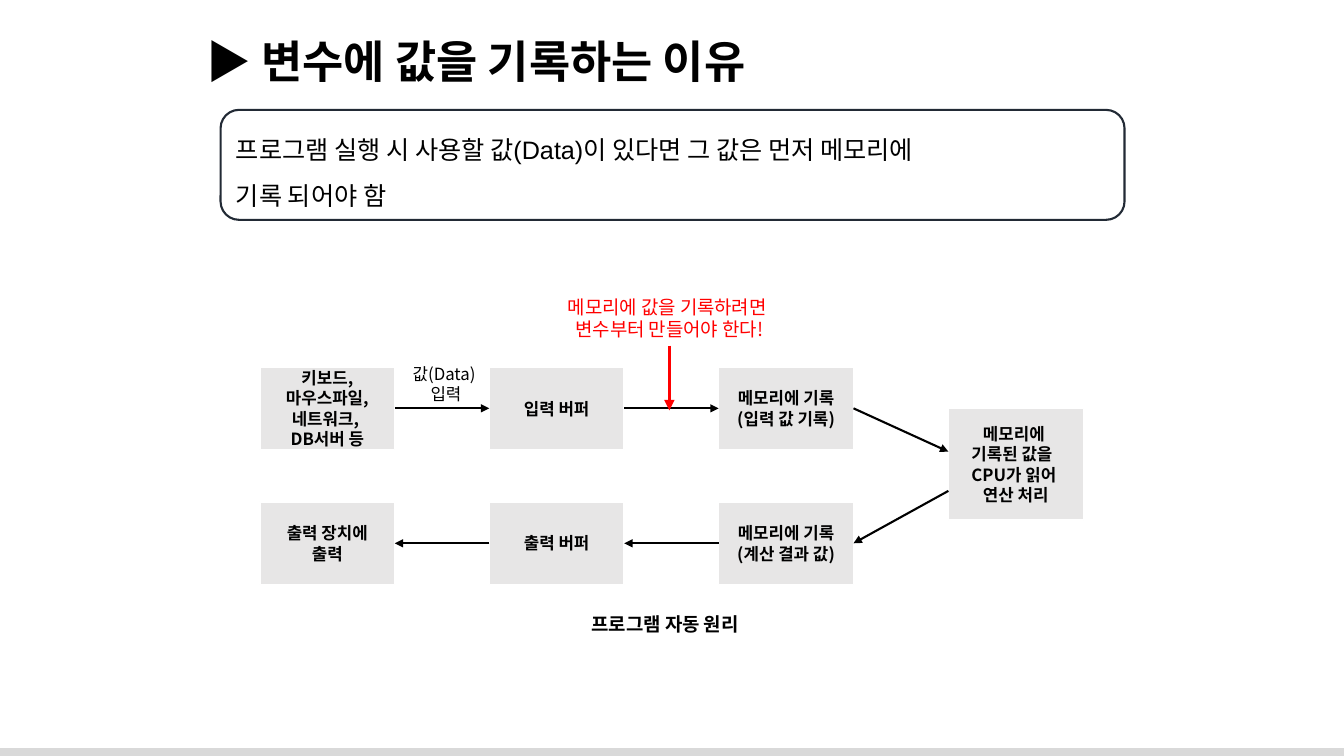
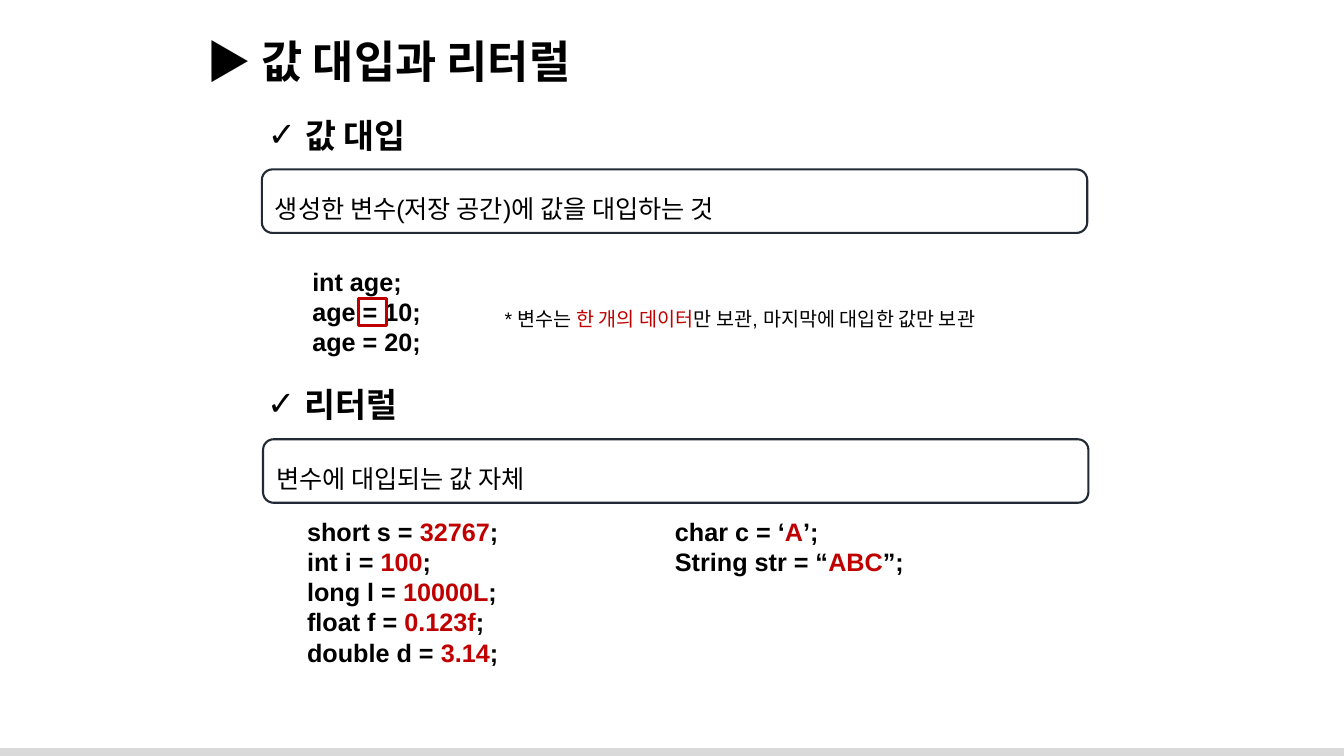
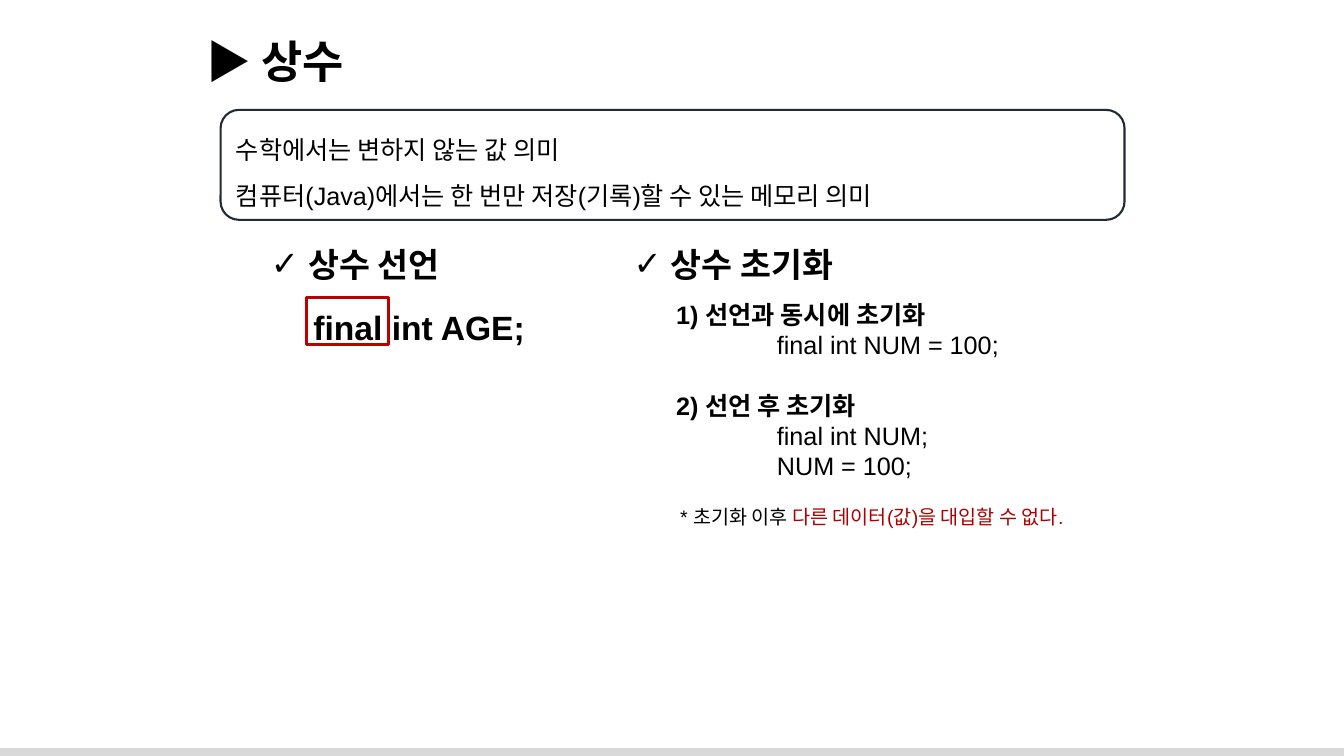
from dataclasses import dataclass
from typing import NamedTuple

from lxml.etree import SubElement
from pptx import Presentation
from pptx.dml.color import RGBColor
from pptx.enum.shapes import MSO_CONNECTOR, MSO_SHAPE
from pptx.enum.text import MSO_ANCHOR, MSO_AUTO_SIZE, PP_ALIGN
from pptx.oxml.ns import qn
from pptx.util import Cm, Pt

COLORS = {
    "text": "000000", "white": "FFFFFF", "band": "D9D9D9", "node": "E7E6E6",
    "frame": "222A35", "accent": "C00000", "alert": "FF0000", "warning": "AD0000",
}
BODY_FONT = "Arial"
KOREAN_FONT = "Noto Sans CJK KR"


class Box(NamedTuple):
    """Left, top, width and height in centimetres."""
    left: float
    top: float
    width: float
    height: float

    def lengths(self) -> list:
        return [Cm(v) for v in self]


class Run(NamedTuple):
    text: str
    color: str = "text"


@dataclass
class Para:
    runs: list
    bold: bool = False
    indent: float = 0
    before: float = 0


@dataclass
class Arrow:
    start: tuple
    end: tuple
    color: str = "text"
    width: float = 1.5


def rgb(name: str) -> RGBColor:
    return RGBColor.from_string(COLORS[name])


# Text
def write(tf, content, *, size=18, color="text", bold=False, font=BODY_FONT,
          align=PP_ALIGN.LEFT, spacing=None, bullet=None, tab=None):
    """Fill a text frame; content is a string with line breaks or a list of Para."""
    if isinstance(content, str):
        content = [Para([Run(line, color)], bold) for line in content.split("\n")]
    for i, para in enumerate(content):
        p = tf.paragraphs[0] if i == 0 else tf.add_paragraph()
        p.alignment = align
        if spacing:
            p.line_spacing = spacing
        if para.before:
            p.space_before = Pt(para.before)
        pPr = p._p.get_or_add_pPr()
        if para.indent:
            pPr.set("marL", str(Cm(para.indent)))
            pPr.set("indent", "0")
        if bullet:
            pPr.set("marL", str(Cm(0.94)))
            pPr.set("indent", str(-Cm(0.94)))
            SubElement(pPr, qn("a:buFont"), typeface=BODY_FONT)
            SubElement(pPr, qn("a:buChar"), char=bullet)
        if tab:
            tabs = SubElement(pPr, qn("a:tabLst"))
            SubElement(tabs, qn("a:tab"), pos=str(Cm(tab)), algn="l")
        for run in para.runs:
            r = p.add_run()
            r.text = run.text
            r.font.size, r.font.bold, r.font.name = Pt(size), para.bold, font
            r.font.color.rgb = rgb(run.color)
            SubElement(r._r.get_or_add_rPr(), qn("a:ea"), typeface=KOREAN_FONT)


def add_text(s, box: Box, content, *, wrap=True, inset=None, **fmt):
    tf = s.shapes.add_textbox(*box.lengths()).text_frame
    tf.word_wrap = wrap
    tf.auto_size = MSO_AUTO_SIZE.SHAPE_TO_FIT_TEXT
    if inset:
        tf.margin_left = Cm(inset)
    write(tf, content, **fmt)


# Shapes
def add_box(s, box: Box, *, kind=MSO_SHAPE.RECTANGLE, fill=None, line=None, width=1.0):
    sp = s.shapes.add_shape(kind, *box.lengths())
    sp.shadow.inherit = False
    if fill:
        sp.fill.solid()
        sp.fill.fore_color.rgb = rgb(fill)
    else:
        sp.fill.background()
    if line:
        sp.line.color.rgb = rgb(line)
        sp.line.width = Pt(width)
    else:
        sp.line.fill.background()
    sp.text_frame.word_wrap = True
    sp.text_frame.vertical_anchor = MSO_ANCHOR.MIDDLE
    return sp


def add_definition(s, box: Box, text: str):
    sp = add_box(s, box, kind=MSO_SHAPE.ROUNDED_RECTANGLE, line="frame", width=1.5)
    write(sp.text_frame, text, spacing=1.5)


def add_node(s, box: Box, text: str):
    sp = add_box(s, box, fill="node", line="white")
    write(sp.text_frame, text, size=12, bold=True, font=KOREAN_FONT, align=PP_ALIGN.CENTER)


def add_mark(s, box: Box):
    add_box(s, box, line="accent", width=2.25)


def add_heading(s, box: Box, text: str):
    add_text(s, box, text, wrap=False, size=24, bold=True, bullet="✓")


def add_note(s, box: Box, runs: list):
    add_text(s, box, [Para(runs)], size=14, spacing=1.5)


def add_arrow(s, arrow: Arrow):
    points = [Cm(v) for v in (*arrow.start, *arrow.end)]
    cn = s.shapes.add_connector(MSO_CONNECTOR.STRAIGHT, *points)
    cn.line.color.rgb = rgb(arrow.color)
    cn.line.width = Pt(arrow.width)
    SubElement(cn.line._get_or_add_ln(), qn("a:tailEnd"), type="triangle")
    SubElement(cn._element.spPr, qn("a:effectLst"))


# Presentation and shared layout
prs = Presentation()
prs.slide_width, prs.slide_height = Cm(33.87), Cm(19.05)
layout = prs.slide_layouts[5]


def add_slide(title: str):
    s = prs.slides.add_slide(layout)
    sp = s.shapes.title
    sp.left, sp.top, sp.width, sp.height = Box(4.95, 0.71, 24, 1.63).lengths()
    tf = sp.text_frame
    tf.word_wrap = True
    tf.auto_size = MSO_AUTO_SIZE.SHAPE_TO_FIT_TEXT
    tf.vertical_anchor = MSO_ANCHOR.TOP
    write(tf, f"▶ {title}", size=32, bold=True)
    return s


TOP_DEFINITION = Box(5.56, 2.77, 22.78, 2.77)

# Slide 1: why values are stored in variables
s = add_slide("변수에 값을 기록하는 이유")

# The bottom band belongs to the layout
band = add_box(s, Box(0, 18.85, 33.87, 0.2), fill="band")
layout.shapes.element.append(band.element)

add_definition(s, TOP_DEFINITION,
               "프로그램 실행 시 사용할 값(Data)이 있다면 그 값은 먼저 메모리에 \n기록 되어야 함")

# Flow nodes: input row above, output row below
NODE_W, NODE_H, STEP_X = 3.4, 2.08, 5.78
ROW_TOPS = (9.25, 12.65)
COLUMNS = [6.55 + i * STEP_X for i in range(3)]
FLOW = (
    ("키보드, 마우스파일, 네트워크, \nDB서버 등", "입력 버퍼", "메모리에 기록\n(입력 값 기록)"),
    ("출력 장치에\n출력", "출력 버퍼", "메모리에 기록\n(계산 결과 값)"),
)
for top, labels in zip(ROW_TOPS, FLOW):
    for left, label in zip(COLUMNS, labels):
        add_node(s, Box(left, top, NODE_W, NODE_H), label)
CPU = Box(23.9, 10.29, NODE_W, 2.82)
add_node(s, CPU, "메모리에 \n기록된 값을  \nCPU가 읽어 \n연산 처리")

# Arrows between neighbouring nodes, then to and from the CPU
input_y, output_y = (top + NODE_H / 2 for top in ROW_TOPS)
for left, following in zip(COLUMNS, COLUMNS[1:]):
    right = left + NODE_W
    add_arrow(s, Arrow((right, input_y), (following, input_y)))
    add_arrow(s, Arrow((following, output_y), (right, output_y)))
memory_right = COLUMNS[-1] + NODE_W
add_arrow(s, Arrow((memory_right, input_y), (CPU.left, 11.38)))
add_arrow(s, Arrow((CPU.left, 12.37), (memory_right, output_y)))
add_arrow(s, Arrow((16.87, 8.71), (16.87, 10.34), "alert", 2.5))

# Flow labels
add_text(s, Box(10.11, 9.04, 2.26, 1.27), "값(Data) \n입력", wrap=False, size=12,
         font=KOREAN_FONT, align=PP_ALIGN.CENTER)
add_text(s, Box(13.72, 7.32, 6.3, 1.42), "메모리에 값을 기록하려면 \n변수부터 만들어야 한다!",
         wrap=False, size=13.5, color="alert", font=KOREAN_FONT, align=PP_ALIGN.CENTER)
add_text(s, Box(14.66, 15.32, 4.7, 0.84), "프로그램 자동 원리", wrap=False, size=13.5,
         bold=True, font=KOREAN_FONT)

# Slide 2: assignment and literals
s = add_slide("값 대입과 리터럴")
add_heading(s, Box(6.5, 2.77, 4.39, 1.27), "값 대입")
add_definition(s, Box(6.6, 4.27, 20.8, 1.6), "생성한 변수(저장 공간)에 값을 대입하는 것")
add_text(s, Box(7.62, 6.58, 3.4, 2.57), "int age;\nage = 10;\nage = 20;", bold=True)
add_mark(s, Box(9.04, 7.52, 0.71, 0.69))
add_note(s, Box(12.47, 7.32, 14.53, 1.14), [
    Run("* 변수는 "), Run("한 개의 데이터", "accent"),
    Run("만 보관, 마지막에 대입한 값만 보관")])

add_heading(s, Box(6.48, 9.55, 4.09, 1.27), "리터럴")
add_definition(s, Box(6.63, 11.07, 20.8, 1.6), "변수에 대입되는 값 자체")

# Every second part of a line is a literal
LITERALS = (
    ("short s = ", "32767", ";\tchar c = ‘", "A", "’;"),
    ("int i = ", "100", ";\tString str = “", "ABC", "”;"),
    ("long l = ", "10000L", ";"),
    ("float f = ", "0.123f", ";"),
    ("double d = ", "3.14", ";"),
)
add_text(s, Box(6.6, 12.88, 20.7, 4.11), [
    Para([Run(part, ("text", "accent")[i % 2]) for i, part in enumerate(parts)], bold=True)
    for parts in LITERALS], inset=1.14, tab=9.27)

# Slide 3: constants
s = add_slide("상수")
add_definition(s, TOP_DEFINITION,
               "수학에서는 변하지 않는 값 의미\n"
               "컴퓨터(Java)에서는 한 번만 저장(기록)할 수 있는 메모리 의미")
add_heading(s, Box(6.58, 6.02, 5.26, 1.27), "상수 선언")
add_text(s, Box(7.65, 7.11, 6.22, 1.8), "final int AGE;", size=24, bold=True, spacing=1.5)
add_mark(s, Box(7.72, 7.49, 2.08, 1.19))

add_heading(s, Box(15.72, 6.02, 6.12, 1.27), "상수 초기화")
CODE_INDENT = 2.54
add_text(s, Box(16.79, 7.42, 9.12, 4.88), [
    Para([Run("1) 선언과 동시에 초기화")], bold=True),
    Para([Run("final int NUM = 100;")], indent=CODE_INDENT),
    Para([Run("2) 선언 후 초기화")], bold=True, before=21.5),
    Para([Run("final int NUM;")], indent=CODE_INDENT),
    Para([Run("NUM = 100;")], indent=CODE_INDENT),
], wrap=False)
add_note(s, Box(16.89, 12.29, 11.46, 1.14), [
    Run("* 초기화 이후 "), Run("다른 데이터(값)을 대입할 수 없다.", "warning")])

prs.save("out.pptx")
